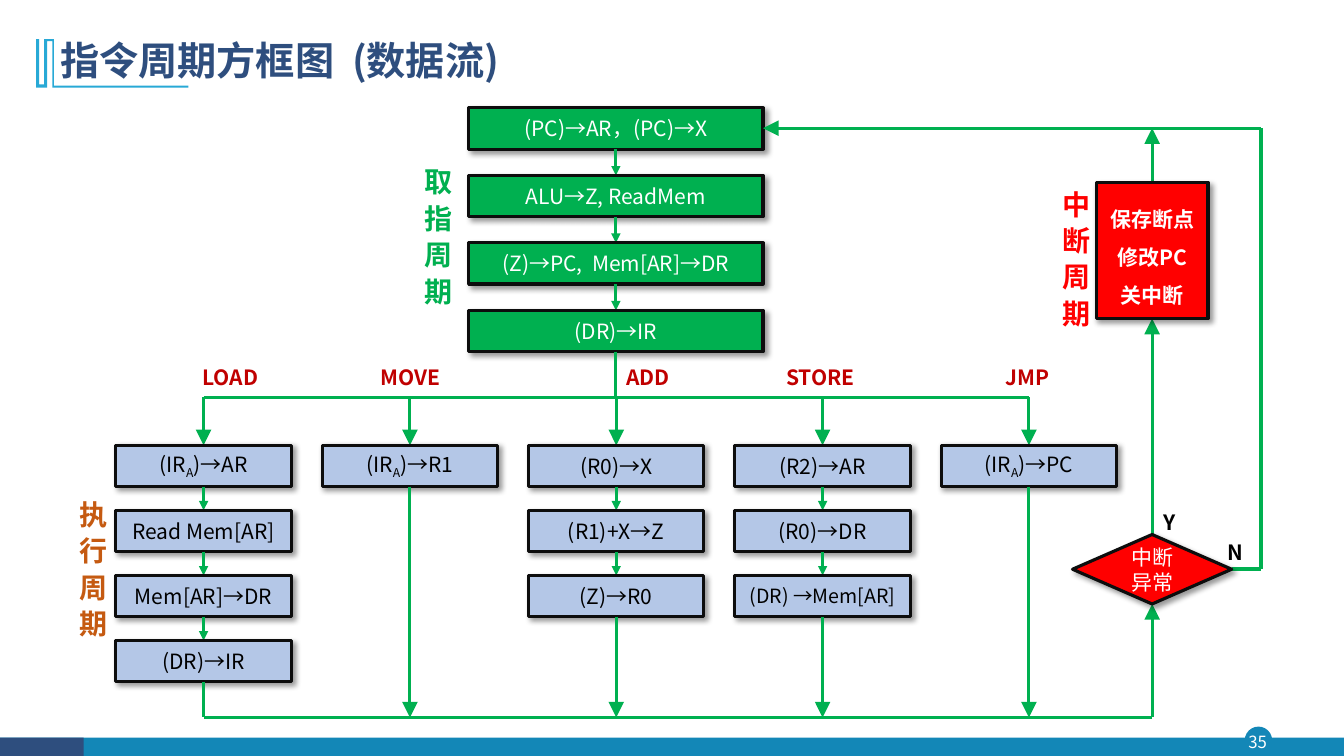
import pptx
import pptx.dml.color
import pptx.enum.shapes
import pptx.enum.text
import pptx.oxml.ns
import pptx.util
from lxml import etree

Cm = pptx.util.Cm
SHAPE = pptx.enum.shapes.MSO_SHAPE
ALIGN = pptx.enum.text.PP_ALIGN
qn = pptx.oxml.ns.qn

FONT = "Noto Sans CJK SC"
COLORS = {
    "navy": "2E4E7E", "teal": "1387B7", "sky": "28A9D6", "green": "00B050",
    "pale": "B4C7E7", "red": "FF0000", "crimson": "C00000", "brown": "C55A11",
    "edge": "0D0D0D", "black": "000000", "white": "FFFFFF",
}
BOX_HEIGHT = 1.04
COLLECTOR_Y = 18.08
LOOP_X, LOOP_Y = 31.78, 3.23
FETCH_STEPS = ["(PC)→AR，(PC)→X", "ALU→Z, ReadMem", "(Z)→PC,  Mem[AR]→DR", "(DR)→IR"]
INSTRUCTIONS = [
    ("LOAD", -0.28, ["(IR_A)→AR", "Read Mem[AR]", "Mem[AR]→DR", "(DR)→IR"]),
    ("MOVE", -0.98, ["(IR_A)→R1"]),
    ("ADD", 0, ["(R0)→X", "(R1)+X→Z", "(Z)→R0"]),
    ("STORE", -1.17, ["(R2)→AR", "(R0)→DR", "(DR) →Mem[AR]"]),
    ("JMP", -0.83, ["(IR_A)→PC"]),
]


def rgb(color):
    """Look up a named colour."""
    return pptx.dml.color.RGBColor.from_string(COLORS[color])


def write(shape, lines, size, color, bold=False, align=ALIGN.CENTER, spacing=None):
    """Fill a shape with lines, where an underscore lowers the next letter."""
    frame = shape.text_frame
    frame.word_wrap = True
    for index, line in enumerate(lines):
        paragraph = frame.add_paragraph() if index else frame.paragraphs[0]
        paragraph.alignment = align
        paragraph.line_spacing = spacing
        base, _, rest = line.partition("_")
        paragraph.add_run().text = base
        if rest:
            subscript = paragraph.add_run()
            subscript.text = rest[0]
            subscript.font._element.set("baseline", "-25000")
            paragraph.add_run().text = rest[1:]
        font = paragraph.font
        font.name, font.size, font.bold = FONT, pptx.util.Pt(size), bold
        font.color.rgb = rgb(color)
        latin = font._element.find(qn("a:latin"))
        latin.addnext(etree.Element(qn("a:ea"), typeface=FONT))
    return frame


def label(slide, text, left, top, width, height, size, color, bold=True, align=ALIGN.LEFT):
    """Place a line of text and return its frame."""
    box = slide.shapes.add_textbox(Cm(left), Cm(top), Cm(width), Cm(height))
    return write(box, [text], size, color, bold, align)


def phase_name(slide, text, left, top, color):
    """Place the vertical name of a phase."""
    frame = label(slide, text, left, top, 1.37, 4.2, 20, color)
    frame._txBody.bodyPr.set("vert", "eaVert")
    frame.paragraphs[0].font._element.set("spc", "600")


def block(slide, kind, left, top, width, height, fill):
    """Add a flat, borderless block."""
    shape = slide.shapes.add_shape(kind, Cm(left), Cm(top), Cm(width), Cm(height))
    shape.shadow.inherit = False
    shape.fill.solid()
    shape.fill.fore_color.rgb = rgb(fill)
    shape.line.fill.background()
    return shape


def step(slide, lines, left, top, width, height, fill, color,
         kind=SHAPE.RECTANGLE, size=15, bold=False, spacing=None):
    """Add an outlined step with a soft shadow."""
    shape = block(slide, kind, left, top, width, height, fill)
    shape.line.color.rgb = rgb("edge")
    shape.line.width = pptx.util.Pt(2.25)
    effects = shape._element.spPr.find(qn("a:effectLst"))
    shadow = etree.SubElement(effects, qn("a:outerShdw"), blurRad="50800", dist="38100",
                              dir="2700000", algn="tl", rotWithShape="0")
    tint = etree.SubElement(shadow, qn("a:srgbClr"), val=COLORS["black"])
    etree.SubElement(tint, qn("a:alpha"), val="40000")
    frame = write(shape, lines, size, color, bold, spacing=spacing)
    frame.vertical_anchor = pptx.enum.text.MSO_ANCHOR.MIDDLE


def flow(slide, x1, y1, x2, y2, head=None):
    """Draw a green line, with an arrowhead of the given size at its end."""
    line = slide.shapes.add_connector(pptx.enum.shapes.MSO_CONNECTOR.STRAIGHT,
                                      Cm(x1), Cm(y1), Cm(x2), Cm(y2))
    line.line.color.rgb = rgb("green")
    line.line.width = pptx.util.Pt(2.25)
    properties = line._element.spPr
    if head:
        etree.SubElement(properties.find(qn("a:ln")), qn("a:tailEnd"),
                         type="triangle", w=head, len=head)
    etree.SubElement(properties, qn("a:effectLst"))


def step_column(slide, steps, left, top, width, pitch, fill, color):
    """Stack steps joined by short arrows and return the bottom edge."""
    center = left + width / 2
    for index, text in enumerate(steps):
        y = top + index * pitch
        if index:
            flow(slide, center, y - pitch + BOX_HEIGHT, center, y, "med")
        size = 14 if text.startswith("(DR) ") else 15
        step(slide, [text], left, y, width, BOX_HEIGHT, fill, color, size=size)
    return y + BOX_HEIGHT


def footer(slide, left, top, width, height):
    """Draw the bottom band and the page number."""
    block(slide, SHAPE.OVAL, left + 31.37, top - 0.28, 0.69, 0.69, "teal")
    block(slide, SHAPE.RECTANGLE, left, top, width, height, "teal")
    block(slide, SHAPE.RECTANGLE, left, top, 2.11, height, "navy")
    number = label(slide, "35", left + 31.29, top - 0.28, 0.81, 0.79, 12, "white",
                   False, ALIGN.CENTER)
    number.margin_left = number.margin_right = number.margin_top = number.margin_bottom = 0
    number.vertical_anchor = pptx.enum.text.MSO_ANCHOR.MIDDLE


def heading(slide, left, top, width, height):
    """Draw the title and the bracket beside it."""
    outline = [(0.45, 0), (0.45, 1.17), (3.84, 1.17), (3.84, 1.22), (0.41, 1.22),
               (0.41, 0.05), (0.28, 0.05), (0.28, 1.22), (0, 1.22), (0, 0),
               (0.08, 0), (0.08, 1.14), (0.2, 1.14), (0.2, 0)]
    points = [(Cm(left + x), Cm(top + y)) for x, y in outline]
    builder = slide.shapes.build_freeform(*points[0])
    builder.add_line_segments(points[1:], close=True)
    bracket = builder.convert_to_shape()
    bracket.shadow.inherit = False
    bracket.fill.solid()
    bracket.fill.fore_color.rgb = rgb("sky")
    bracket.line.fill.background()
    title = label(slide, "指令周期方框图  (数据流)", left + 0.36, top - 0.28, width, height, 28, "navy")
    title.vertical_anchor = pptx.enum.text.MSO_ANCHOR.MIDDLE
    title.paragraphs[0].line_spacing = 0.9


def fetch_phase(slide, left, top, width, bus_y):
    """Draw the fetch steps down to the dispatch line."""
    phase_name(slide, "取指周期", left - 1.6, top + 1.27, "green")
    bottom = step_column(slide, FETCH_STEPS, left, top, width, 1.7, "green", "white")
    flow(slide, left + width / 2, bottom, left + width / 2, bus_y)


def execute_phase(slide, left, top, width, pitch, bus_y):
    """Draw one column per instruction between dispatch and collector lines."""
    phase_name(slide, "执行周期", left - 1.4, top + 1.15, "brown")
    first = left + width / 2
    last = first + pitch * (len(INSTRUCTIONS) - 1)
    flow(slide, first, bus_y, last, bus_y)
    for index, (name, shift, steps) in enumerate(INSTRUCTIONS):
        center = first + index * pitch
        label(slide, name, center + shift, bus_y - 0.94, 2.82, 0.84, 15, "crimson")
        flow(slide, center, bus_y, center, top, "lg")
        bottom = step_column(slide, steps, left + index * pitch, top, width, 1.64, "pale", "black")
        flow(slide, center, bottom, center, COLLECTOR_Y, "lg" if index else None)


def interrupt_phase(slide, left, top, width, height):
    """Draw the interrupt test, its handler and the way back to fetch."""
    center, middle = left + width / 2, top + height - 0.88
    phase_name(slide, "中断周期", left - 0.74, top - 0.05, "red")
    flow(slide, 5.13, COLLECTOR_Y, center, COLLECTOR_Y)
    flow(slide, center, COLLECTOR_Y, center, top + height, "lg")
    flow(slide, center, top + height - 1.75, center, top + 3.43, "lg")
    flow(slide, center, top, center, LOOP_Y, "lg")
    flow(slide, left + width, middle, LOOP_X, middle)
    flow(slide, LOOP_X, middle, LOOP_X, LOOP_Y)
    flow(slide, LOOP_X, LOOP_Y, 19.23, LOOP_Y, "lg")
    label(slide, "Y", center + 0.04, middle - 1.62, 0.9, 0.89, 15, "black")
    label(slide, "N", center + 1.66, middle - 0.88, 0.95, 0.89, 15, "black")
    step(slide, ["保存断点", "修改PC", "关中断"], center - 1.41, top, 2.82, 3.43, "red", "white",
         bold=True, spacing=1.5)
    step(slide, ["中断异常"], left, top + height - 1.75, width, 1.75, "red", "white",
         kind=SHAPE.FLOWCHART_DECISION)


def main():
    """Build the slide and save it."""
    deck = pptx.Presentation()
    deck.slide_width, deck.slide_height = Cm(33.87), Cm(19.05)
    slide = deck.slides.add_slide(deck.slide_layouts[6])
    footer(slide, 0, 18.59, 33.87, 0.46)
    heading(slide, 0.91, 0.99, 29.21, 1.73)
    fetch_phase(slide, 11.81, 2.72, 7.42, 10.01)
    execute_phase(slide, 2.92, 11.22, 4.42, 5.2, 10.01)
    interrupt_phase(slide, 27.03, 4.6, 4.01, 10.62)
    deck.save("out.pptx")


if __name__ == "__main__":
    main()
